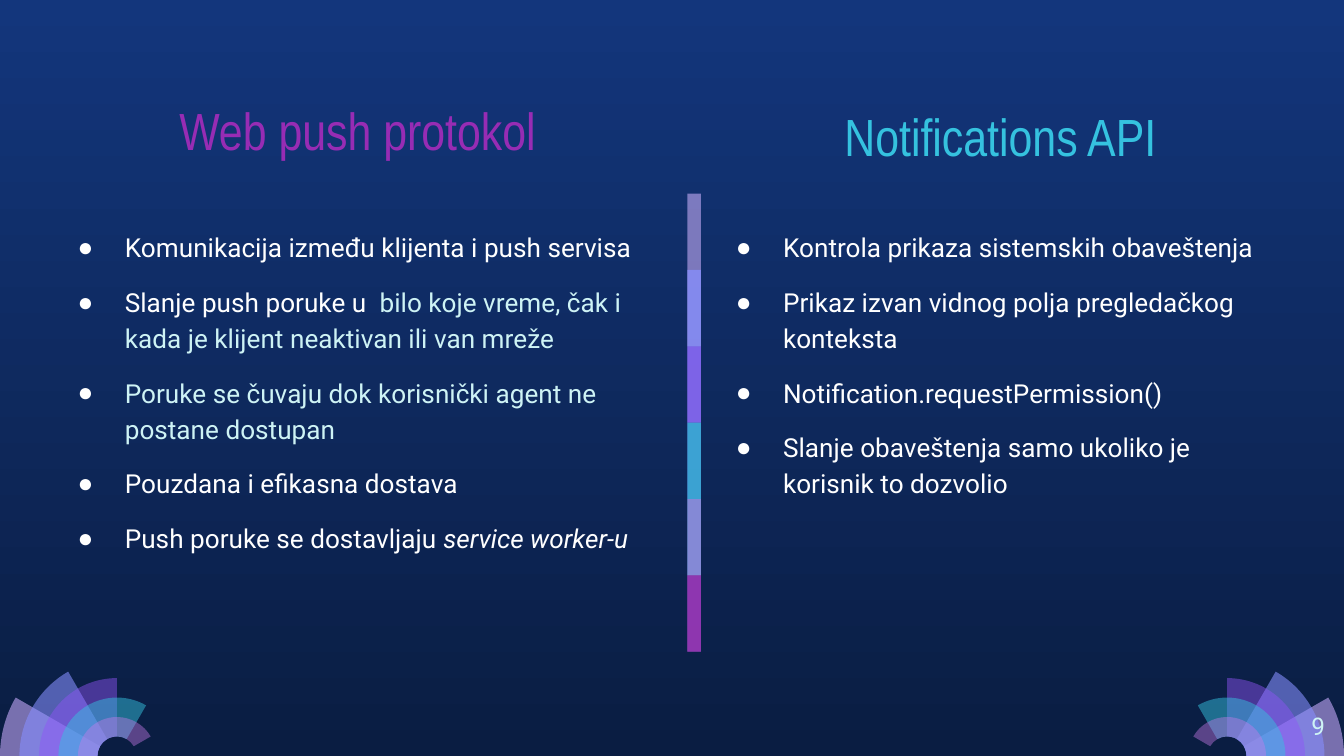
from dataclasses import dataclass
from math import cos, radians, sin, tan

from lxml.etree import SubElement
from pptx import Presentation
from pptx.dml.color import RGBColor as Rgb
from pptx.enum.shapes import MSO_SHAPE as Preset
from pptx.enum.text import MSO_ANCHOR as Anchor, PP_ALIGN as Align
from pptx.oxml.ns import qn
from pptx.util import Cm, Pt


@dataclass(frozen=True)
class Theme:
    sky: tuple = ("13367C", "0A1D42")
    white: str = "FFFFFF"
    ice: str = "CEF3F5"
    purple: str = "972CB4"
    cyan: str = "35C2DF"
    petals: tuple = (("C8ACFD", 58), ("878FFF", 58), ("9154F8", 46),
                     ("35C2DF", 49), ("CA7BEB", 42))
    divider: tuple = (("C8AEF8", 59), ("878FFF", 74), ("9154F8", 53),
                      ("35C2DF", 76), ("CA7BEB", 56), ("972CB4", 74))
    heading_font: str = "Arial Narrow"
    body_font: str = "Roboto"
    bullet_font: str = "Arial"
    heading_size: int = 28
    body_size: int = 14
    number_size: int = 13


THEME = Theme()
SLIDE_WIDTH, SLIDE_HEIGHT = 25.4, 14.29
FAN_RADIUS = 2.21

PROTOCOL_POINTS = [
    [("Komunikacija između klijenta i push servisa", THEME.white, False)],
    [("Slanje push poruke u ", THEME.white, False),
     (" bilo koje vreme, čak i kada je klijent neaktivan ili van mreže",
      THEME.ice, False)],
    [("Poruke se čuvaju dok korisnički agent ne postane dostupan",
      THEME.ice, False)],
    [("Pouzdana i efikasna dostava", THEME.white, False)],
    [("Push poruke se dostavljaju ", THEME.white, False),
     ("service worker-u", THEME.white, True)],
]
API_POINTS = [[(point, THEME.white, False)] for point in (
    "Kontrola prikaza sistemskih obaveštenja",
    "Prikaz izvan vidnog polja pregledačkog konteksta",
    "Notification.requestPermission()",
    "Slanje obaveštenja samo ukoliko je korisnik to dozvolio",
)]


def apply_format(target, values):
    for name, value in values.items():
        setattr(target, name, value)


def paint_background(slide):
    fill = slide.background.fill
    fill.gradient()
    fill.gradient_angle = 270
    for stop, color in zip(fill.gradient_stops, THEME.sky):
        stop.color.rgb = Rgb.from_string(color)


def tint(shape, color, opacity):
    shape.shadow.inherit = False
    shape.line.fill.background()
    shape.fill.solid()
    shape.fill.fore_color.rgb = Rgb.from_string(color)
    srgb = shape.fill._xPr.find(".//" + qn("a:srgbClr"))
    SubElement(srgb, qn("a:alpha"), val=str(opacity * 1000))


def arc(radius, start, end):
    reach = 4 / 3 * tan(radians(end - start) / 4)
    a, b = radians(start), radians(end)
    return [
        (radius * (cos(a) - reach * sin(a)), radius * (sin(a) + reach * cos(a))),
        (radius * (cos(b) + reach * sin(b)), radius * (sin(b) - reach * cos(b))),
        (radius * cos(b), radius * sin(b)),
    ]


def petal_outline(outer, inner, end):
    crest = max(90, end)
    start = arc(outer, 180, crest)[-1]
    segments = [arc(outer, crest, 180), [(-inner, 0)], arc(inner, 180, crest)]
    if end < crest:
        tip = arc(outer, crest, end)[-1]
        segments += [arc(inner, crest, end), [tip], arc(outer, end, crest)]
    else:
        segments.append([start])
    return start, segments


def bend(shape, segments):
    lines = iter(list(shape._element.iter(qn("a:lnTo"))))
    for segment in segments:
        first, *rest = [next(lines) for _ in segment]
        if rest:
            first.tag = qn("a:cubicBezTo")
        for line in rest:
            first.append(line[0])
            line.getparent().remove(line)


def add_fan(slide, center_x, direction):
    def place(point):
        return (Cm(center_x + direction * point[0]),
                Cm(SLIDE_HEIGHT - point[1]))

    fan = slide.shapes.add_group_shape().shapes
    ring = FAN_RADIUS / 6
    for index, (color, opacity) in enumerate(THEME.petals):
        start, segments = petal_outline(ring * (6 - index), ring,
                                        150 - 30 * index)
        builder = fan.build_freeform(*place(start))
        builder.add_line_segments(
            [place(point) for segment in segments for point in segment],
            close=True)
        petal = builder.convert_to_shape()
        bend(petal, segments)
        tint(petal, color, opacity)


def add_divider(slide, left, top, width, height):
    stripes = slide.shapes.add_group_shape().shapes
    step = height / len(THEME.divider)
    for index, (color, opacity) in enumerate(THEME.divider):
        y = top + index * step
        stripe_height = min(2 * step, top + height - y)
        stripe = stripes.add_shape(Preset.RECTANGLE, Cm(left), Cm(y),
                                   Cm(width), Cm(stripe_height))
        tint(stripe, color, opacity)


def add_frame(slide, box, anchor=Anchor.TOP):
    frame = slide.shapes.add_textbox(*map(Cm, box)).text_frame
    inset = Cm(0.25)
    apply_format(frame, {
        "word_wrap": True, "vertical_anchor": anchor,
        "margin_left": inset, "margin_right": inset,
        "margin_top": inset, "margin_bottom": inset,
    })
    return frame


def add_run(paragraph, text, color, font, size, italic=False):
    run = paragraph.add_run()
    run.text = text
    apply_format(run.font, {"name": font, "size": Pt(size), "italic": italic})
    run.font.color.rgb = Rgb.from_string(color)


def add_label(slide, box, text, color, font, size, align, anchor=Anchor.TOP):
    paragraph = add_frame(slide, box, anchor).paragraphs[0]
    paragraph.alignment = align
    add_run(paragraph, text, color, font, size)


def add_heading(slide, box, text, color):
    add_label(slide, box, text, color, THEME.heading_font,
              THEME.heading_size, Align.CENTER, Anchor.BOTTOM)


def add_bullet(paragraph):
    properties = paragraph._p.get_or_add_pPr()
    properties.set("marL", str(Cm(1.27)))
    properties.set("indent", str(Cm(-0.89)))
    bullet_color = SubElement(properties, qn("a:buClr"))
    SubElement(bullet_color, qn("a:srgbClr"), val=THEME.white)
    SubElement(properties, qn("a:buFont"), typeface=THEME.bullet_font)
    SubElement(properties, qn("a:buChar"), char="●")


def add_points(slide, box, points):
    frame = add_frame(slide, box)
    for index, point in enumerate(points):
        paragraph = frame.add_paragraph() if index else frame.paragraphs[0]
        add_bullet(paragraph)
        apply_format(paragraph, {
            "line_spacing": 1.15,
            "space_before": Pt(10 if index else 0),
            "space_after": Pt(10 if index == len(points) - 1 else 0),
        })
        for text, color, italic in point:
            add_run(paragraph, text, color, THEME.body_font,
                    THEME.body_size, italic)


def main():
    deck = Presentation()
    apply_format(deck, {"slide_width": Cm(SLIDE_WIDTH),
                        "slide_height": Cm(SLIDE_HEIGHT)})
    slide = deck.slides.add_slide(deck.slide_layouts[6])
    paint_background(slide)
    add_fan(slide, FAN_RADIUS, 1)
    add_fan(slide, SLIDE_WIDTH - FAN_RADIUS, -1)
    add_heading(slide, (15.21, 1.8, 7.39, 1.6), "Notifications API", THEME.cyan)
    add_heading(slide, (2.55, 1.69, 8.41, 1.6), "Web push protokol", THEME.purple)
    add_divider(slide, 12.99, 3.66, 0.26, 8.66)
    add_points(slide, (0.84, 4.04, 11.81, 7.26), PROTOCOL_POINTS)
    add_points(slide, (13.28, 4.04, 11.28, 6.3), API_POINTS)
    add_label(slide, (23.77, 13.19, 1.52, 1.09), "9", THEME.ice,
              THEME.body_font, THEME.number_size, Align.RIGHT)
    deck.save("out.pptx")


if __name__ == "__main__":
    main()
